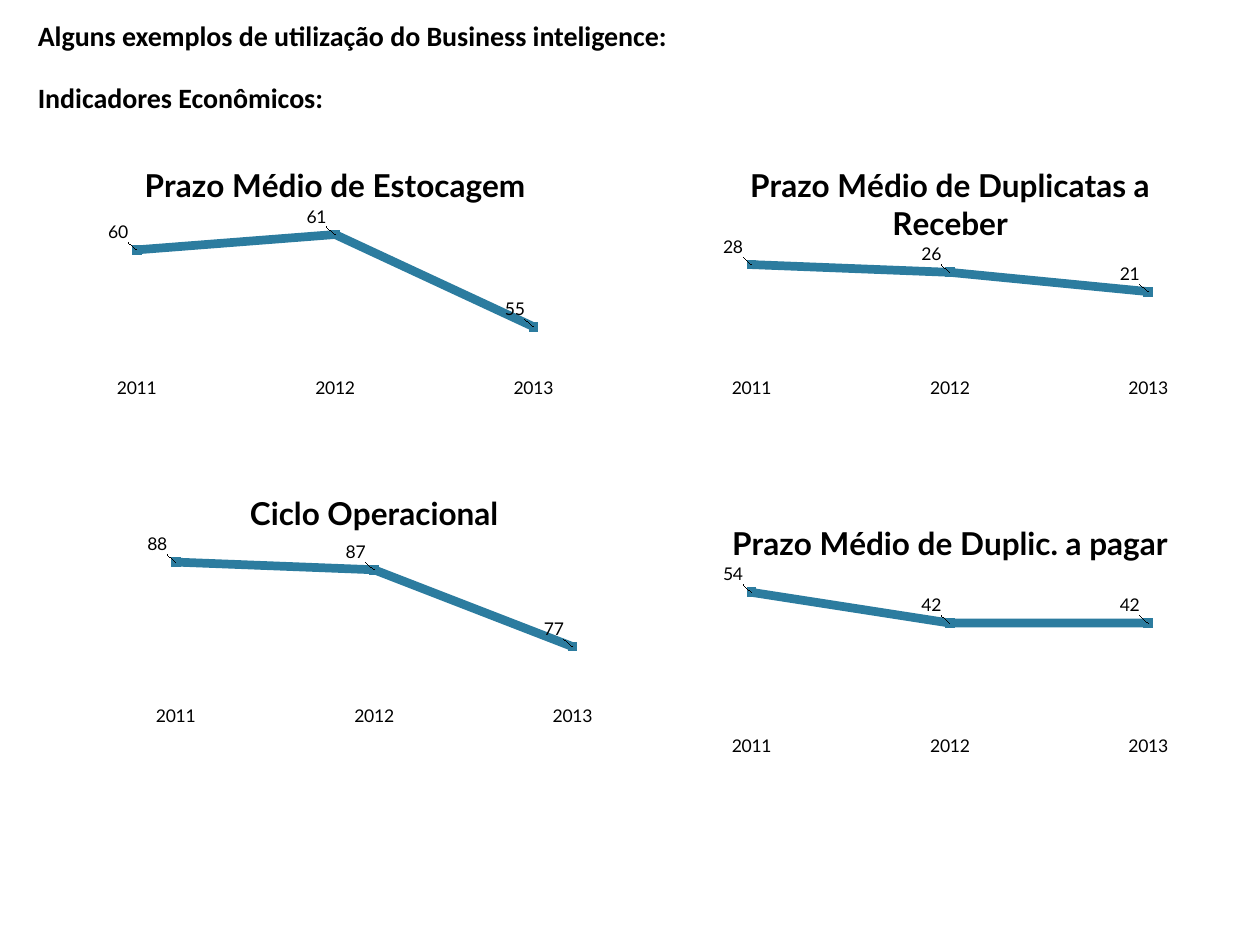
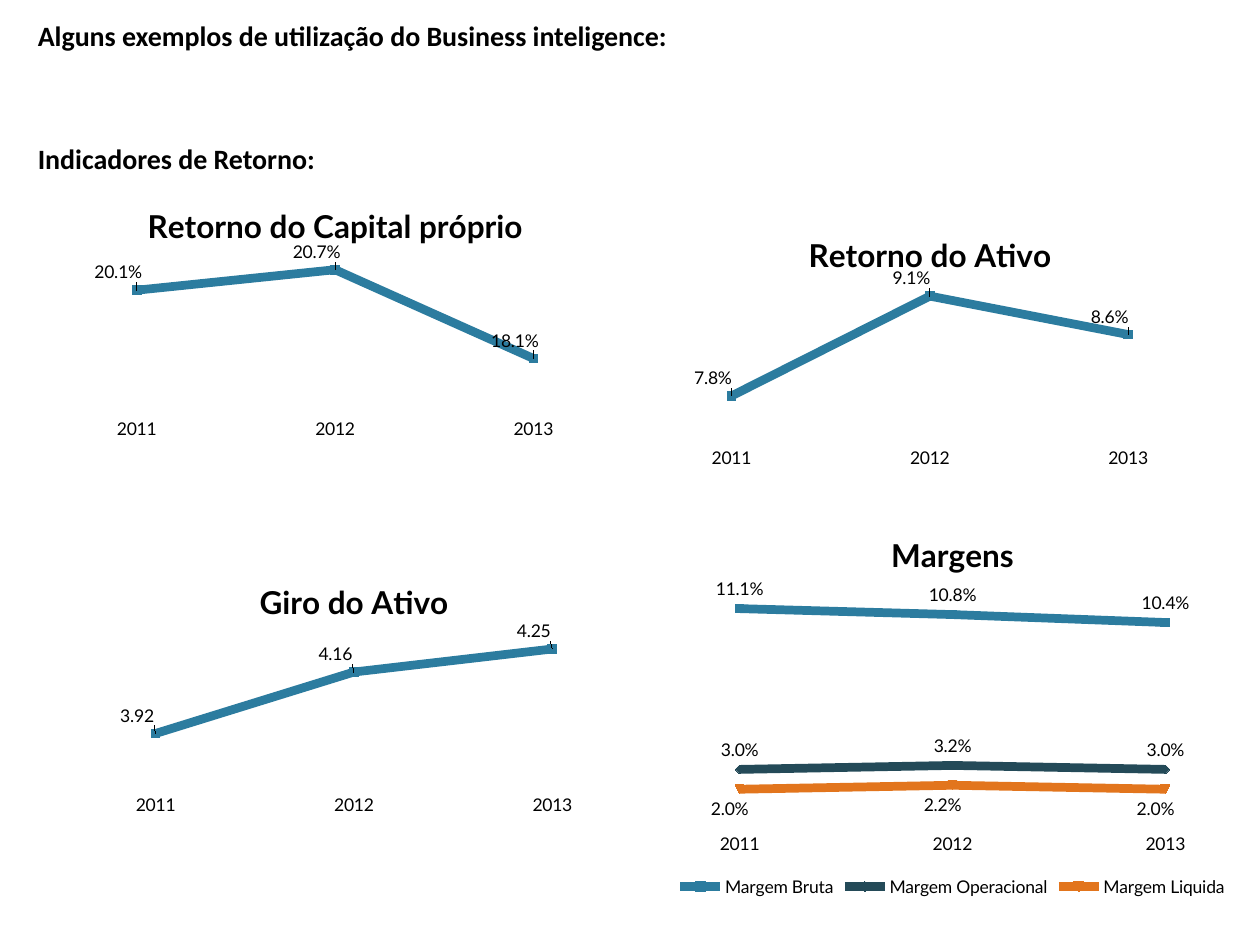
from lxml.etree import SubElement
from pptx import Presentation
from pptx.chart.data import CategoryChartData
from pptx.dml.color import RGBColor
from pptx.enum.chart import XL_CHART_TYPE, XL_LABEL_POSITION, XL_LEGEND_POSITION, XL_TICK_MARK
from pptx.enum.text import MSO_ANCHOR, MSO_AUTO_SIZE, PP_ALIGN
from pptx.oxml import parse_xml
from pptx.oxml.ns import qn
from pptx.util import Inches, Pt

HUES = {"text": "000000", "blue": "2C7C9F", "navy": "244A58", "orange": "E2751D"}
YEARS = ["2011", "2012", "2013"]
HEAD = "Alguns exemplos de utilização do Business inteligence:"
WIDE, HIGH = 4.92, 2.05
SHIFT = (-0.03, -0.07)
SPACE = "http://schemas.openxmlformats.org/drawingml/2006/chart"


def tint(hue):
    return RGBColor.from_string(HUES[hue])


def style(font, size, face, bold=False, hue="text"):
    font.size = Pt(size)
    font.name = face
    font.bold = bold
    font.color.rgb = tint(hue)


def write(frame, text, first=True, size=16, face="Calibri", bold=True, before=0, align=None, lines=None):
    par = frame.paragraphs[0] if first else frame.add_paragraph()
    par.alignment = align
    if lines:
        par.line_spacing = lines
        par.space_before = Pt(before)
    run = par.add_run()
    run.text = text
    style(run.font, size, face, bold)


def layout(values, inner=False):
    node = parse_xml(f'<c:layout xmlns:c="{SPACE}"><c:manualLayout/></c:layout>')
    form = node[0]
    if inner:
        SubElement(form, qn("c:layoutTarget")).set("val", "inner")
        for key in ("xMode", "yMode"):
            SubElement(form, qn(f"c:{key}")).set("val", "edge")
    for key, value in zip("xywh", values):
        SubElement(form, qn(f"c:{key}")).set("val", f"{value:.3f}")
    return node


def place(chart, high, head, foot):
    area = chart._chartSpace.chart.plotArea
    for old in area.findall(qn("c:layout")):
        area.remove(old)
    area.insert(0, layout((0.02, head / high, 0.96, (high - head - foot) / high), True))


def paint(line, hue, spot, shift):
    line.smooth = False
    line.format.line.width = Pt(5)
    line.format.line.color.rgb = tint(hue)
    mark = line.marker
    mark.size = 5
    mark.format.fill.solid()
    mark.format.fill.fore_color.rgb = tint(hue)
    mark.format.line.color.rgb = tint(hue)
    tags = line.data_labels
    tags.show_value = True
    tags.position = spot
    style(tags.font, 10, "Lato")
    if shift:
        for index in range(len(YEARS)):
            tag = line.points[index].data_label
            tag.position = spot
            style(tag.font, 10, "Lato")
            node = tags._element.findall(qn("c:dLbl"))[index]
            node.insert(1, layout(shift))


def graph(slide, box, name, rows, scale, form, head=0.59, foot=0.24):
    data = CategoryChartData(number_format=form)
    data.categories = YEARS
    for label, values, *_ in rows:
        data.add_series(label, values)
    chart = slide.shapes.add_chart(
        XL_CHART_TYPE.LINE_MARKERS, *map(Inches, box), data).chart
    style(chart.font, 10, "Lato")
    chart.has_title = True
    write(chart.chart_title.text_frame, name, size=18, face="Lato")
    chart.chart_title.include_in_layout = False
    chart.has_legend = len(rows) > 1
    if chart.has_legend:
        chart.legend.position = XL_LEGEND_POSITION.BOTTOM
        chart.legend.include_in_layout = False
        style(chart.legend.font, 10, "Lato")
    years, scores = chart.category_axis, chart.value_axis
    years.major_tick_mark = years.minor_tick_mark = XL_TICK_MARK.NONE
    years.format.line.fill.background()
    scores.visible = False
    scores.has_major_gridlines = False
    scores.minimum_scale, scores.maximum_scale = scale
    chart.plots[0].vary_by_categories = False
    place(chart, box[3], head, foot)
    for line, (_, _, hue, spot, shift) in zip(chart.plots[0].series, rows):
        paint(line, hue, spot, shift)


def trend(slide, left, top, name, values, scale, form="0", **room):
    row = (name, values, "blue", XL_LABEL_POSITION.CENTER, SHIFT)
    graph(slide, (left, top, WIDE, HIGH), name, [row], scale, form, **room)


def start(deck, topic, before):
    slide = deck.slides.add_slide(deck.slide_layouts[5])
    title = slide.shapes.title
    title.left, title.top, title.width, title.height = map(Inches, (0.2, 0.13, 8.66, 1.42))
    frame = title.text_frame
    frame.word_wrap = True
    frame.auto_size = MSO_AUTO_SIZE.NONE
    frame.vertical_anchor = MSO_ANCHOR.TOP
    write(frame, HEAD, align=PP_ALIGN.LEFT, lines=0.9)
    write(frame, topic, first=False, before=before, align=PP_ALIGN.LEFT, lines=0.9)
    return slide


def terms(deck):
    slide = start(deck, "Indicadores Econômicos:", 18)
    trend(slide, 0.2, 1.15, "Prazo Médio de Estocagem", (60, 61, 55), (52, 62))
    trend(slide, 5.08, 1.15, "Prazo Médio de Duplicatas a Receber", (28, 26, 21), (0, 30), head=0.89)
    trend(slide, 0.51, 3.75, "Ciclo Operacional", (88, 87, 77), (70, 90))
    trend(slide, 5.08, 3.99, "Prazo Médio de Duplic. a pagar", (54, 42, 42), (0, 60))


def returns(deck):
    slide = start(deck, "Indicadores de Retorno:", 53)
    trend(slide, 0.2, 1.47, "Retorno do Capital próprio", (0.201, 0.207, 0.181), (0.165, 0.21), "0.0%")
    trend(slide, 4.92, 1.7, "Retorno do Ativo", (0.078, 0.091, 0.086), (0.072, 0.092), "0.0%")
    trend(slide, 0.35, 4.46, "Giro do Ativo", (3.92, 4.16, 4.25), (3.7, 4.3), "0.00")
    above, below = XL_LABEL_POSITION.ABOVE, XL_LABEL_POSITION.BELOW
    rows = [("Margem Bruta", (0.111, 0.108, 0.104), "blue", above, None),
            ("Margem Operacional", (0.030, 0.032, 0.030), "navy", above, None),
            ("Margem Liquida", (0.020, 0.022, 0.020), "orange", below, (-0.015, 0))]
    graph(slide, (4.92, 4.06, 5.28, 3.1), "Margens", rows, (0, 0.12), "0.0%", head=0.63, foot=0.58)


def main():
    deck = Presentation()
    deck.slide_width, deck.slide_height = Inches(10), Inches(7.5)
    terms(deck)
    returns(deck)
    deck.save("out.pptx")


if __name__ == "__main__":
    main()
